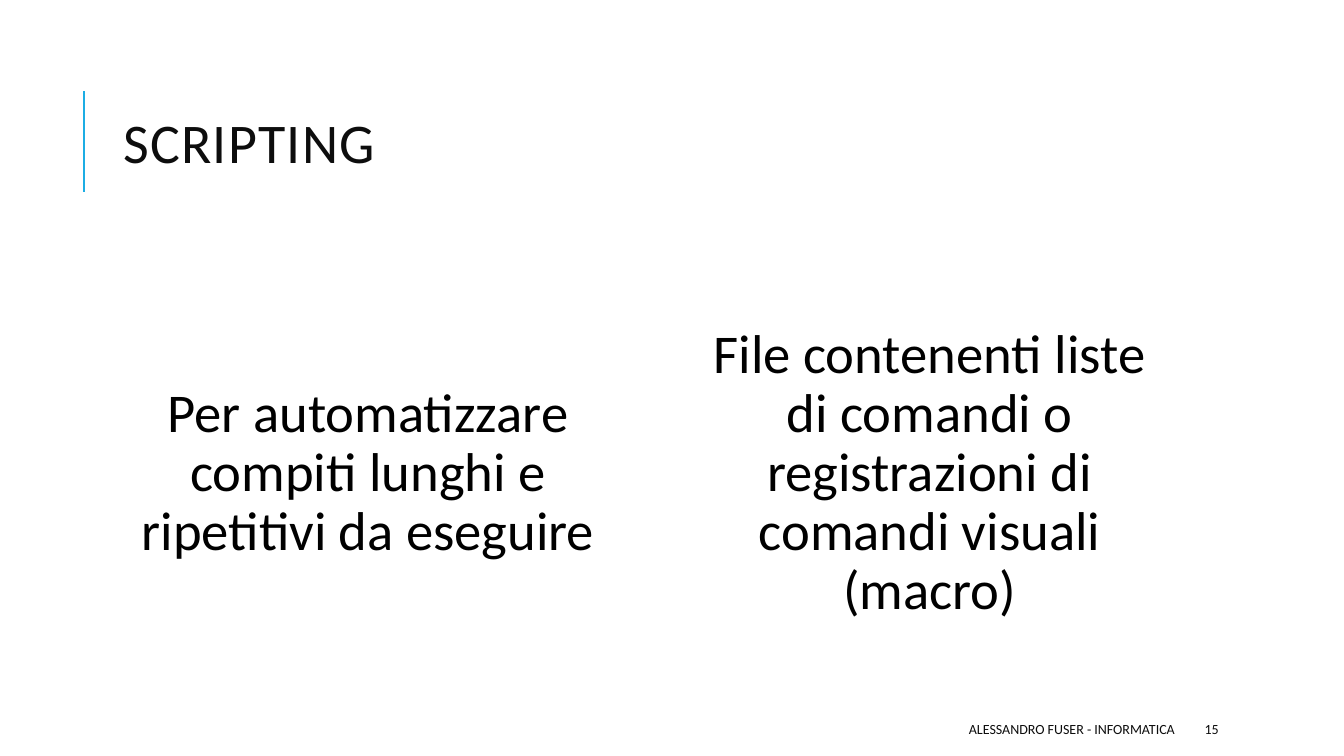
import pptx
import pptx.util
import pptx.dml.color
import pptx.enum.shapes
import pptx.enum.text
import pptx.oxml.ns
import lxml.etree

PX = 9144  # 100 px to the inch
ALIGN = pptx.enum.text.PP_ALIGN


def color(code):
    return pptx.dml.color.RGBColor.from_string(code)


def write(shape, text, size, code, align, inset=None):
    """Fill a shape with one vertically centred paragraph."""
    frame = shape.text_frame
    frame.word_wrap = True
    frame.auto_size = pptx.enum.text.MSO_AUTO_SIZE.NONE
    frame.vertical_anchor = pptx.enum.text.MSO_ANCHOR.MIDDLE
    if inset is not None:
        frame.margin_left = frame.margin_right = inset * PX
        frame.margin_top = frame.margin_bottom = inset * PX
    para = frame.paragraphs[0]
    para.alignment = align
    run = para.add_run()
    run.text = text
    run.font.name = "Calibri"
    run.font.size = pptx.util.Pt(size)
    run.font.color.rgb = color(code)
    return para, run


deck = pptx.Presentation()
deck.slide_width = 1333 * PX
deck.slide_height = 750 * PX
slide = deck.slides.add_slide(deck.slide_layouts[5])
shapes = slide.shapes

# Title and its accent line
title = shapes.title
title.left, title.top, title.width, title.height = [
    n * PX for n in (112, 64, 1063, 164)]
para, run = write(title, "SCRIPTING", 40, "0D0D0D", ALIGN.LEFT)
para.line_spacing = 0.8
run.font._element.set("spc", "100")

line = shapes.add_connector(
    pptx.enum.shapes.MSO_CONNECTOR.STRAIGHT, 83 * PX, 190 * PX, 83 * PX, 90 * PX)
line.line.color.rgb = color("1CADE4")
line.line.width = pptx.util.Pt(1.5)
lxml.etree.SubElement(line._element.spPr, pptx.oxml.ns.qn("a:effectLst"))

# Two columns of text
columns = [
    "Per automatizzare compiti lunghi e ripetitivi da eseguire",
    "File contenenti liste di comandi o registrazioni di comandi visuali (macro)",
]
for i, text in enumerate(columns):
    box = shapes.add_textbox((112 + i * 557) * PX, 318 * PX, 506 * PX, 304 * PX)
    box.fill.solid()
    box.fill.fore_color.rgb = color("FFFFFF")
    para, run = write(box, text, 39, "000000", ALIGN.CENTER, 16)
    para.line_spacing = 0.9

# Footer and slide number
for left, width, text, align in [
    (530, 645, "ALESSANDRO FUSER - INFORMATICA", ALIGN.RIGHT),
    (1185, 106, "15", ALIGN.LEFT),
]:
    box = shapes.add_textbox(left * PX, 708 * PX, width * PX, 30 * PX)
    write(box, text, 10, "0D0D0D", align)

deck.save("out.pptx")
